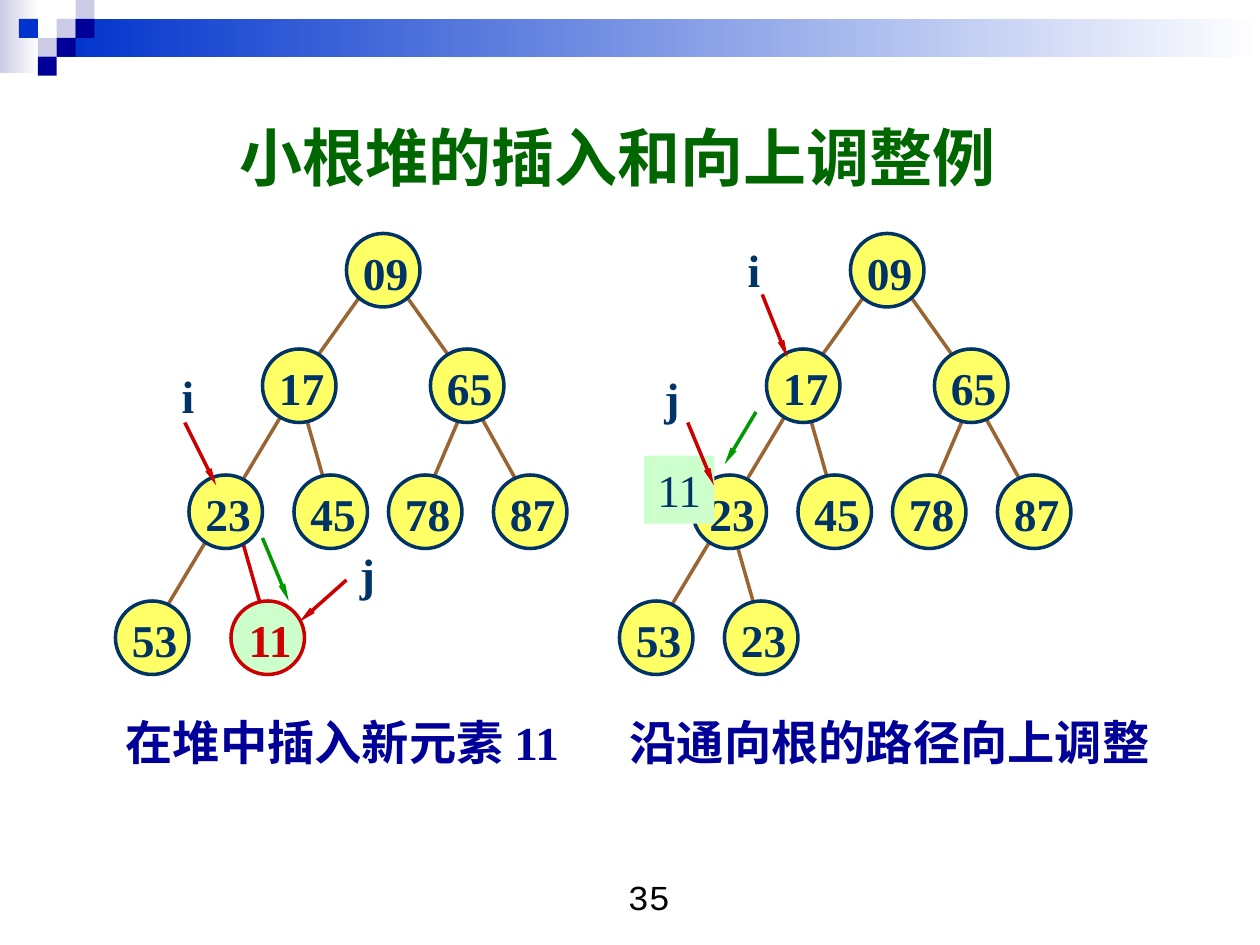
from dataclasses import dataclass

from lxml.etree import SubElement
from pptx import Presentation
from pptx.dml.color import RGBColor
from pptx.enum.shapes import MSO_CONNECTOR, MSO_SHAPE
from pptx.enum.text import MSO_ANCHOR, PP_ALIGN
from pptx.oxml.ns import qn
from pptx.util import Inches, Pt


@dataclass(frozen=True)
class Theme:
    serif: str = "Times New Roman"
    mono: str = "Courier New"
    title_size: float = 36
    caption_size: float = 27
    node_size: float = 26
    number_size: float = 20
    line_width: float = 2
    title: str = "006600"
    ink: str = "003366"
    navy: str = "000099"
    blue: str = "0033CC"
    lilac: str = "CCCCE6"
    white: str = "FFFFFF"
    black: str = "000000"
    node: str = "FFFF66"
    edge: str = "996633"
    new: str = "CCFFCC"
    red: str = "CC0000"
    green: str = "009900"


THEME = Theme()
WIDTH, HEIGHT = 10, 7.5
UNIT = 1 / 12      # grid step of the trees, in inches
TOP = 0.02         # where row 0 of the tree grid starts
NODE = 7           # node diameter in grid steps
TREE_SHIFT = 48    # columns between the two trees
SQUARE = 0.15      # corner pattern square

# Shared tree: node (column, row, key) and edge (from, to), in grid steps
NODES = [
    (33, 22, "09"), (25, 33, "17"), (41, 33, "65"), (18, 45, "23"),
    (28, 45, "45"), (37, 45, "78"), (47, 45, "87"), (11, 57, "53"),
]
EDGES = [
    ((35, 27), (30, 34)), ((38, 27), (43, 34)), ((27, 39), (15, 59)),
    ((29, 39), (31, 46)), ((44, 39), (41, 46)), ((45, 38), (50, 47)),
]


def color(code):
    return RGBColor.from_string(code)


def grid(column, row):
    return Inches(column * UNIT), Inches(TOP + row * UNIT)


def add_span(para, text, size, ink, bold=True, font=THEME.serif):
    span = para.add_run()
    span.text = text
    span.font.size = Pt(size)
    span.font.name = font
    span.font.bold = bold
    span.font.color.rgb = color(ink)


def add_box(page, left, top, width, height, align=PP_ALIGN.CENTER,
            anchor=MSO_ANCHOR.MIDDLE, wrap=True):
    """Text box placed by shares of the slide; returns box and paragraph."""
    box = page.shapes.add_textbox(
        Inches(left * WIDTH), Inches(top * HEIGHT),
        Inches(width * WIDTH), Inches(height * HEIGHT))
    frame = box.text_frame
    frame.word_wrap = wrap
    frame.vertical_anchor = anchor
    para = frame.paragraphs[0]
    para.alignment = align
    return box, para


def add_band(page, left, top, width, height, start, end=None):
    """Borderless rectangle, solid or fading from left to right."""
    band = page.shapes.add_shape(
        MSO_SHAPE.RECTANGLE, *map(Inches, (left, top, width, height)))
    band.shadow.inherit = False
    band.line.fill.background()
    if end is None:
        band.fill.solid()
        band.fill.fore_color.rgb = color(start)
        return
    band.fill.gradient()
    band.fill.gradient_angle = 0
    for stop, code in zip(band.fill.gradient_stops, (start, end)):
        stop.color.rgb = color(code)


def add_line(page, start, end, ink, arrow=False):
    line = page.shapes.add_connector(
        MSO_CONNECTOR.STRAIGHT, *grid(*start), *grid(*end))
    line.line.color.rgb = color(ink)
    line.line.width = Pt(THEME.line_width)
    if arrow:
        SubElement(line.line._get_or_add_ln(), qn("a:tailEnd"),
                   type="triangle", w="sm", len="lg")
    SubElement(line._element.spPr, qn("a:effectLst"))


def add_node(page, column, row, key, fill=THEME.node, ink=THEME.ink):
    node = page.shapes.add_shape(
        MSO_SHAPE.OVAL, *grid(column, row), Inches(NODE * UNIT), Inches(NODE * UNIT))
    node.shadow.inherit = False
    node.fill.solid()
    node.fill.fore_color.rgb = color(fill)
    node.line.color.rgb = color(ink)
    node.line.width = Pt(THEME.line_width)
    frame = node.text_frame
    frame.word_wrap = False
    frame.vertical_anchor = MSO_ANCHOR.MIDDLE
    frame.margin_left, frame.margin_top = Inches(0.04), Inches(0.03)
    frame.margin_right = frame.margin_bottom = 0
    para = frame.paragraphs[0]
    para.alignment = PP_ALIGN.CENTER
    add_span(para, key, THEME.node_size, ink)


def add_label(page, column, row, text, width=3.8, height=6.5, fill=None):
    """Label centred on a grid point; a filled one is set in regular weight."""
    box, para = add_box(
        page, (column - width / 2) * UNIT / WIDTH,
        (TOP + (row - height / 2) * UNIT) / HEIGHT,
        width * UNIT / WIDTH, height * UNIT / HEIGHT, wrap=False)
    if fill:
        box.fill.solid()
        box.fill.fore_color.rgb = color(fill)
    add_span(para, text, THEME.node_size, THEME.ink, bold=fill is None)


def add_tree(page, shift=0):
    for (x1, y1), (x2, y2) in EDGES:
        add_line(page, (x1 + shift, y1), (x2 + shift, y2), THEME.edge)
    for column, row, key in NODES:
        add_node(page, column + shift, row, key)


def add_banner(page):
    add_band(page, 0, 0, 0.31, 0.58, THEME.lilac, THEME.white)
    add_band(page, 0.45, 0.15, 9.55, 0.3, THEME.blue, THEME.white)
    squares = [(3, 1, THEME.lilac), (4, 0, THEME.lilac), (4, 1, THEME.navy),
               (2, 2, THEME.lilac), (1, 1, THEME.blue), (3, 2, THEME.navy),
               (2, 3, THEME.navy)]
    for column, row, fill in squares:
        add_band(page, column * SQUARE, row * SQUARE, SQUARE, SQUARE, fill)


def add_texts(page):
    _, para = add_box(page, 0.04, 0.1, 0.9, 0.13)
    add_span(para, "小根堆的插入和向上调整例", THEME.title_size, THEME.title)

    # One caption line; a tab stop starts the part under the right tree
    _, para = add_box(page, 0.09, 0.75, 0.85, 0.07, PP_ALIGN.LEFT)
    tabs = SubElement(para._p.get_or_add_pPr(), qn("a:tabLst"))
    SubElement(tabs, qn("a:tab"), pos=str(Inches(4)), algn="l")
    for text in ("在堆中插入新元素 11", "\t沿通向根的路径向上调整"):
        add_span(para, text, THEME.caption_size, THEME.navy)

    _, para = add_box(page, 0.4, 0.92, 0.23, 0.07, anchor=MSO_ANCHOR.TOP)
    add_span(para, "35", THEME.number_size, THEME.black, False, THEME.mono)


def main():
    deck = Presentation()
    deck.slide_width, deck.slide_height = Inches(WIDTH), Inches(HEIGHT)
    page = deck.slides.add_slide(deck.slide_layouts[6])
    add_banner(page)
    add_texts(page)

    # Left tree: 11 is inserted as the last leaf
    add_line(page, (23, 51), (25, 58), THEME.red)
    add_tree(page)
    add_node(page, 22, 57, "11", THEME.new, THEME.red)
    add_label(page, 17.9, 37.4, "i")
    add_label(page, 35, 54.4, "j")

    # Right tree: 23 has moved down and 11 waits beside its place
    add_line(page, (70, 51), (72, 58), THEME.edge)
    add_tree(page, TREE_SHIFT)
    add_node(page, 69, 57, "23")
    add_label(page, 64.7, 46.4, "11", width=6.7, fill=THEME.new)
    add_label(page, 71.8, 25.4, "i")
    add_label(page, 64, 37.6, "j")

    # Red pointers to i and j, green moves along the path
    for start, end, ink in [
        ((17.6, 40), (20.6, 46), THEME.red), ((33, 55), (28.5, 59), THEME.red),
        ((25, 51), (27.5, 57), THEME.green), ((72.6, 27.8), (75, 33.8), THEME.red),
        ((65.5, 40), (68, 46), THEME.red), ((72, 39), (69, 44), THEME.green),
    ]:
        add_line(page, start, end, ink, arrow=True)

    deck.save("out.pptx")


if __name__ == "__main__":
    main()
